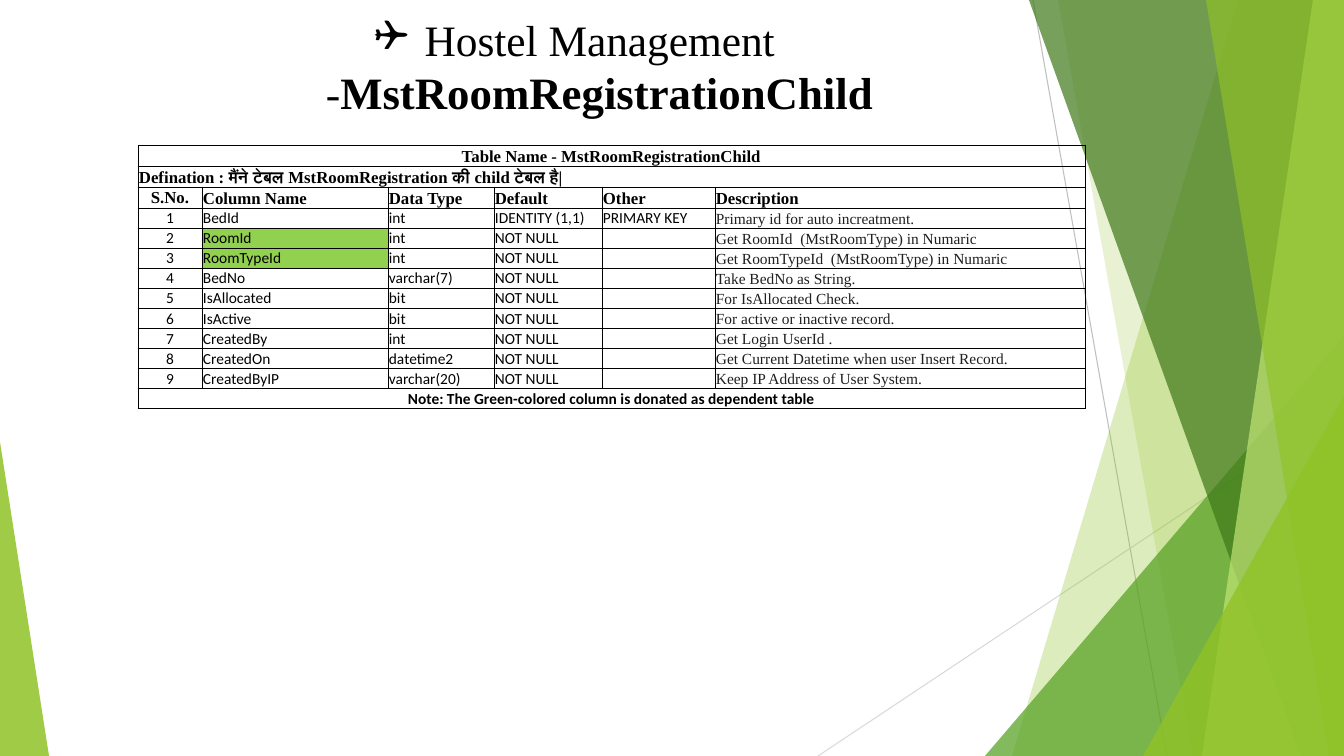
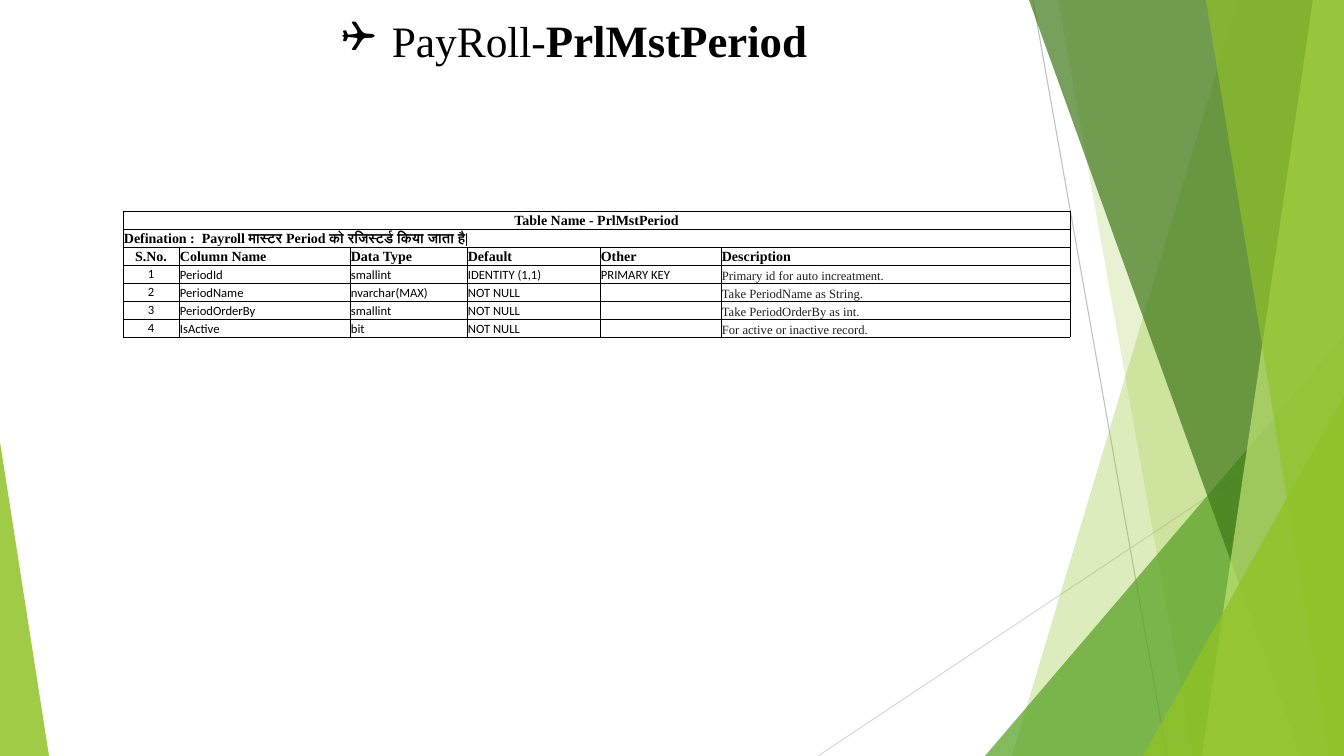
import pptx
import pptx.util
import pptx.dml.color
import pptx.enum.shapes
import pptx.enum.text
import pptx.oxml.ns
import lxml.etree

PX = 914400 / 100.8
WIDE, HIGH = 1344, 756
SERIF, SANS = "Times New Roman", "Calibri"
BLACK, DARK = "000000", "1F1F1F"
LIME, LEAF, MOSS, PALE, MARK = "90C226", "54A021", "3F7819", "C0E474", "92D050"
HEADS = ["S.No.", "Column Name", "Data Type", "Default", "Other", "Description"]
ALIGN = pptx.enum.text.PP_ALIGN
ANCHOR = pptx.enum.text.MSO_ANCHOR

# Backdrop: thin lines, then facets from back to front
RAYS = [
    ((1033, 0), (1167, HIGH), "BFBFBF"),
    ((WIDE, 406), (818, HIGH), "D9D9D9"),
]
# A slab has (top x, foot x); a triangle has (left, top, width, height, peak)
FACETS = [
    (LIME, 30, (1238, 1012)),
    (LIME, 20, (1058, 1193)),
    (LEAF, 72, (985, 336, 359, 420, 1)),
    (MOSS, 70, (1029, 1301)),
    (PALE, 70, (1313, 1202)),
    (LIME, 65, (1206, 1329)),
    (LIME, 80, (1143, 396, 201, 360, 1)),
    (LIME, 85, (0, 442, 49, 314, 0)),
]

# Fields: column name, data type, description
ROOM = [
    ("BedId", "int", "Primary id for auto increatment."),
    ("RoomId", "int", "Get RoomId  (MstRoomType) in Numaric"),
    ("RoomTypeId", "int", "Get RoomTypeId  (MstRoomType) in Numaric"),
    ("BedNo", "varchar(7)", "Take BedNo as String."),
    ("IsAllocated", "bit", "For IsAllocated Check."),
    ("IsActive", "bit", "For active or inactive record."),
    ("CreatedBy", "int", "Get Login UserId ."),
    ("CreatedOn", "datetime2", "Get Current Datetime when user Insert Record."),
    ("CreatedByIP", "varchar(20)", "Keep IP Address of User System."),
]
PERIOD = [
    ("PeriodId", "smallint", "Primary id for auto increatment."),
    ("PeriodName", "nvarchar(MAX)", "Take PeriodName as String."),
    ("PeriodOrderBy", "smallint", "Take PeriodOrderBy as int."),
    ("IsActive", "bit", "For active or inactive record."),
]


def px(count):
    return pptx.util.Emu(round(count * PX))


def color(code):
    return pptx.dml.color.RGBColor.from_string(code)


def node(parent, tag, **attrs):
    return lxml.etree.SubElement(parent, pptx.oxml.ns.qn(tag), attrs)


def style(font, size, name=SERIF, code=BLACK, bold=False):
    font.size = pptx.util.Pt(size)
    font.name = name
    font.bold = bold
    font.color.rgb = color(code)


# Backdrop parts
def ray(slide, start, end, code):
    line = slide.shapes.add_connector(
        pptx.enum.shapes.MSO_CONNECTOR.STRAIGHT, *map(px, start + end))
    line.line.color.rgb = color(code)
    line.line.width = pptx.util.Pt(0.75)
    node(line.element.spPr, "a:effectLst")


def facet(slide, code, alpha, form):
    if len(form) == 2:
        top, foot = form
        pen = slide.shapes.build_freeform(top, 0, scale=PX)
        pen.add_line_segments([(WIDE, 0), (WIDE, HIGH), (foot, HIGH)])
        shape = pen.convert_to_shape()
    else:
        shape = slide.shapes.add_shape(
            pptx.enum.shapes.MSO_SHAPE.ISOSCELES_TRIANGLE, *map(px, form[:4]))
        shape.adjustments[0] = form[4]
    shape.shadow.inherit = False
    shape.line.fill.background()
    shape.fill.solid()
    shape.fill.fore_color.rgb = color(code)
    tone = shape.element.spPr.find(".//" + pptx.oxml.ns.qn("a:srgbClr"))
    node(tone, "a:alpha", val=str(alpha * 1000))


def backdrop(deck, layout):
    """Draw the shared art on the first slide, then move it to the layout."""
    for hold in list(layout.placeholders):
        if hold.placeholder_format.idx:
            hold.element.getparent().remove(hold.element)
    slide = deck.slides[0]
    for start, end, code in RAYS:
        ray(slide, start, end, code)
    for code, alpha, form in FACETS:
        facet(slide, code, alpha, form)
    for shape in list(slide.shapes):
        if not shape.is_placeholder:
            layout.shapes.element.append(shape.element)


# Title with a hanging box bullet
def title(slide, area, table, high):
    hold = slide.shapes.title
    hold.left, hold.top, hold.width, hold.height = map(px, (157, 8, 835, high))
    frame = hold.text_frame
    frame.word_wrap = True
    frame.auto_size = pptx.enum.text.MSO_AUTO_SIZE.NONE
    frame.vertical_anchor = ANCHOR.TOP
    para = frame.paragraphs[0]
    para.alignment = ALIGN.CENTER
    props = para._p.get_or_add_pPr()
    props.set("marL", "457200")
    props.set("indent", "-457200")
    node(props, "a:buFont", typeface="Wingdings")
    node(props, "a:buChar", char="❑")
    para.font.name = SERIF
    para.font.color.rgb = color(BLACK)
    for text, size, bold in ((area, 31, False), (table, 32, True)):
        run = para.add_run()
        run.text = text
        run.font.size = pptx.util.Pt(size)
        run.font.bold = bold


# Table parts
def border(cell):
    props = cell._tc.get_or_add_tcPr()
    for side in ("a:lnL", "a:lnR", "a:lnT", "a:lnB"):
        line = node(props, side, w="6350")
        node(node(line, "a:solidFill"), "a:srgbClr", val=BLACK)


def write(cell, text, size, name=SERIF, code=BLACK, bold=False,
          mid=False, fill=None):
    border(cell)
    if fill:
        cell.fill.solid()
        cell.fill.fore_color.rgb = color(fill)
    else:
        cell.fill.background()
    cell.margin_left = cell.margin_right = cell.margin_top = px(1)
    cell.margin_bottom = 0
    cell.vertical_anchor = ANCHOR.MIDDLE if mid else ANCHOR.BOTTOM
    para = cell.text_frame.paragraphs[0]
    para.alignment = ALIGN.CENTER if mid else ALIGN.LEFT
    style(para.font, size, name, code, bold)
    if text:
        para.add_run().text = text
    else:
        node(para._p, "a:endParaRPr", sz=str(size * 100))


def banner(grid, row, text, size, name=SERIF, center=True):
    last = len(HEADS) - 1
    for col in range(last + 1):
        write(grid.cell(row, col), "" if col else text, size, name, bold=True)
    grid.cell(row, 0).merge(grid.cell(row, last))
    if center:
        grid.cell(row, 0).text_frame.paragraphs[0].alignment = ALIGN.CENTER


def schema(slide, spot, widths, highs, sizes, name, about, fields,
           marked=(), note=None):
    """Lay out the heading rows, one row per field and an optional note."""
    count = 3 + len(fields) + bool(note)
    tops = [highs[0]] * 3 + [highs[1]] * (count - 3)
    grid = slide.shapes.add_table(
        count, len(widths), *map(px, (*spot, sum(widths), sum(tops)))).table
    grid.first_row = grid.horz_banding = False
    for col, width in zip(grid.columns, widths):
        col.width = px(width)
    for row, high in zip(grid.rows, tops):
        row.height = px(high)
    head, body = sizes
    banner(grid, 0, "Table Name - " + name, head)
    banner(grid, 1, "Defination : " + about, head, center=False)
    for col, text in enumerate(HEADS):
        write(grid.cell(2, col), text, head, bold=True, mid=col == 0)
    for num, (field, kind, use) in enumerate(fields, 1):
        rule = ("IDENTITY (1,1)", "PRIMARY KEY") if num == 1 else ("NOT NULL", "")
        for col, text in enumerate((str(num), field, kind, *rule)):
            fill = MARK if col == 1 and field in marked else None
            write(grid.cell(num + 2, col), text, body, SANS,
                  mid=col == 0, fill=fill)
        write(grid.cell(num + 2, 5), use, body, code=DARK)
    if note:
        banner(grid, count - 1, note, body, SANS)


def main():
    deck = pptx.Presentation()
    deck.slide_width, deck.slide_height = px(WIDE), px(HIGH)
    layout = deck.slide_layouts[5]

    # Hostel rooms
    slide = deck.slides.add_slide(layout)
    backdrop(deck, layout)
    title(slide, "Hostel Management -", "MstRoomRegistrationChild", 117)
    schema(slide, (138, 145), (64, 186, 106, 108, 113, 370), (21, 20), (12, 11),
           "MstRoomRegistrationChild",
           "मैंने टेबल MstRoomRegistration की child टेबल है|",
           ROOM, ("RoomId", "RoomTypeId"),
           "Note: The Green-colored column is donated as dependent table")

    # Payroll periods
    slide = deck.slides.add_slide(layout)
    title(slide, "PayRoll-", "PrlMstPeriod", 65)
    schema(slide, (123, 211), (56, 171, 117, 133, 121, 349), (18, 18), (10, 9),
           "PrlMstPeriod",
           " Payroll मास्टर Period को रजिस्टर्ड किया जाता है|", PERIOD)

    deck.save("out.pptx")


if __name__ == "__main__":
    main()
